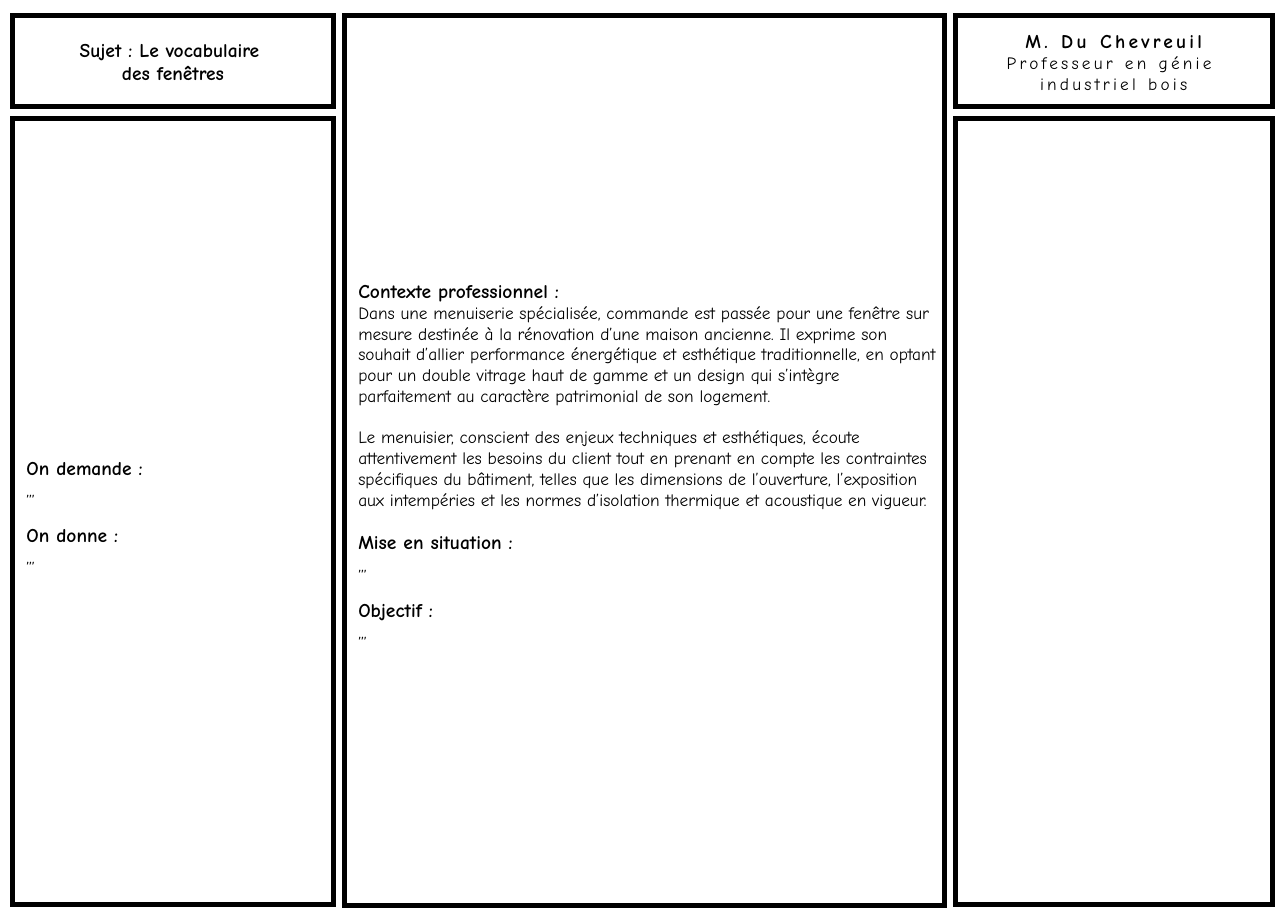
from dataclasses import dataclass

from lxml.etree import SubElement
from pptx import Presentation
from pptx.dml.color import RGBColor
from pptx.enum.shapes import MSO_SHAPE
from pptx.enum.text import MSO_ANCHOR, PP_ALIGN
from pptx.oxml.ns import qn
from pptx.util import Inches, Pt


@dataclass(frozen=True)
class Theme:
    font: str = "Comic Neue"
    ink: RGBColor = RGBColor(0, 0, 0)
    paper: RGBColor = RGBColor(255, 255, 255)
    heading: int = 18
    body: int = 16
    border: float = 4.5
    body_gap: float = 19.2
    heading_gap: float = 21.6
    indent: float = 0.08
    tracking: int = 3


THEME = Theme()

SUBJECT = [("heading", "Sujet : Le vocabulaire ", 0), ("heading", "des fenêtres", 0)]
TEACHER = [
    ("heading", "M. Du Chevreuil", 0),
    ("body", "Professeur en génie ", 0),
    ("body", "industriel bois", 0),
]
REQUEST = [
    ("heading", "On demande :", 0),
    ("body", ",,,", 0),
    ("heading", "On donne :", THEME.heading_gap),
    ("body", ",,,", 0),
]
CONTEXT = [
    ("heading", "Contexte professionnel :", 0),
    ("body", "Dans une menuiserie spécialisée, commande est passée pour une fenêtre sur mesure "
     "destinée à la rénovation d’une maison ancienne. Il exprime son souhait d’allier "
     "performance énergétique et esthétique traditionnelle, en optant pour un double vitrage "
     "haut de gamme et un design qui s’intègre parfaitement au caractère patrimonial de son "
     "logement.", 0),
    ("body", "Le menuisier, conscient des enjeux techniques et esthétiques, écoute attentivement "
     "les besoins du client tout en prenant en compte les contraintes spécifiques du bâtiment, "
     "telles que les dimensions de l’ouverture, l’exposition aux intempéries et les normes "
     "d’isolation thermique et acoustique en vigueur.", THEME.body_gap),
    ("heading", "Mise en situation :", THEME.body_gap),
    ("body", ",,,", 0),
    ("heading", "Objectif :", THEME.heading_gap),
    ("body", ",,,", 0),
]

LEFT, MIDDLE, RIGHT = (0.16, 4.12), (4.42, 7.7), (12.26, 4.07)
HEADER, MAIN, FULL = (0.2, 1.17), (1.52, 10.09), (0.2, 11.42)

PANELS = [
    (MIDDLE, FULL, CONTEXT, False, 0),
    (LEFT, MAIN, REQUEST, False, 0),
    (RIGHT, MAIN, [], False, 0),
    (RIGHT, HEADER, TEACHER, True, THEME.tracking),
    (LEFT, HEADER, SUBJECT, True, 0),
]


def write_paragraph(para, style, text, gap, centred, tracking):
    span = para.add_run()
    span.text = text
    if tracking:
        span._r.get_or_add_rPr().set("spc", str(tracking * 100))
    para.alignment = PP_ALIGN.CENTER if centred else PP_ALIGN.LEFT
    if not centred:
        para._p.get_or_add_pPr().set("marL", str(Inches(THEME.indent)))
    if gap:
        para.space_before = Pt(gap)
    para.font.name = THEME.font
    para.font.size = Pt(getattr(THEME, style))
    para.font.bold = style == "heading"
    para.font.color.rgb = THEME.ink


def add_panel(page, column, row, lines, centred, tracking):
    (left, width), (top, height) = column, row
    box = page.shapes.add_shape(
        MSO_SHAPE.RECTANGLE, Inches(left), Inches(top), Inches(width), Inches(height)
    )
    box.shadow.inherit = False
    box.fill.solid()
    box.fill.fore_color.rgb = THEME.paper
    box.line.color.rgb = THEME.ink
    box.line.width = Pt(THEME.border)
    outline = box._element.spPr.find(qn("a:ln"))
    SubElement(outline, qn("a:miter")).set("lim", "800000")
    if not lines:
        return
    frame = box.text_frame
    frame.word_wrap = True
    frame.vertical_anchor = MSO_ANCHOR.MIDDLE
    for index, (style, text, gap) in enumerate(lines):
        para = frame.add_paragraph() if index else frame.paragraphs[0]
        write_paragraph(para, style, text, gap, centred, tracking)


def main():
    deck = Presentation()
    deck.slide_width, deck.slide_height = Inches(16.53), Inches(11.81)
    page = deck.slides.add_slide(deck.slide_layouts[6])
    for panel in PANELS:
        add_panel(page, *panel)
    deck.save("out.pptx")


if __name__ == "__main__":
    main()
